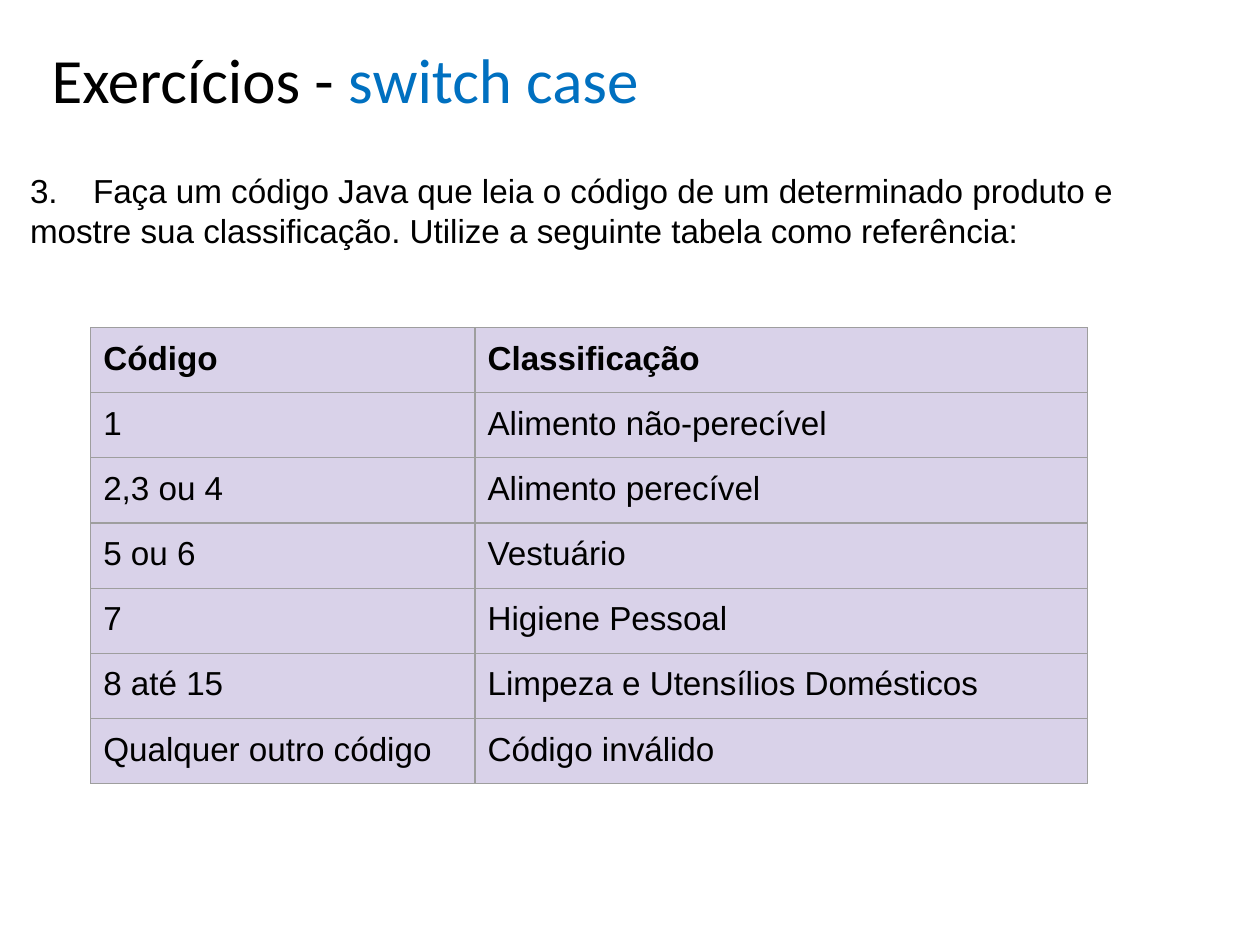
from dataclasses import dataclass

from lxml.etree import SubElement
from pptx import Presentation
from pptx.dml.color import RGBColor as Color
from pptx.enum.text import MSO_ANCHOR as Anchor, MSO_AUTO_SIZE as AutoSize, PP_ALIGN as Align
from pptx.oxml.ns import qn
from pptx.util import Inches, Pt


@dataclass(frozen=True)
class Theme:
    title_font: str = "Calibri"
    body_font: str = "Arial"
    title_size: int = 36
    body_size: int = 19
    ink: str = "000000"
    accent: str = "0070C0"
    cell_fill: str = "D9D2E9"
    border: str = "9E9E9E"
    border_width: float = 0.75
    padding: float = 0.1


THEME = Theme()
WIDTH, HEIGHT = 10, 7.5
TITLE_ONLY = 5

QUESTION = (
    "3.\tFaça um código Java que leia o código de um determinado produto e "
    "mostre sua classificação. Utilize a seguinte tabela como referência:"
)
CLASSIFICATION = [
    ("Código", "Classificação"),
    ("1", "Alimento não-perecível"),
    ("2,3 ou 4", "Alimento perecível"),
    ("5 ou 6", "Vestuário"),
    ("7", "Higiene Pessoal"),
    ("8 até 15", "Limpeza e Utensílios Domésticos"),
    ("Qualquer outro código", "Código inválido"),
]
COLUMN_WIDTHS = (3.05, 4.86)
ROW_HEIGHT = 0.45


def area(left, top, width, height):
    """Turn inches into the four lengths of a box."""
    return [Inches(length) for length in (left, top, width, height)]


def add_run(para, text, font, size, color=THEME.ink, bold=False):
    span = para.add_run()
    span.text = text
    span.font.name = font
    span.font.size = Pt(size)
    span.font.bold = bold
    span.font.color.rgb = Color.from_string(color)


def set_margins(holder, side, end):
    holder.margin_left = holder.margin_right = Inches(side)
    holder.margin_top = holder.margin_bottom = Inches(end)


def add_title(page, parts):
    title = page.shapes.title
    title.left, title.top, title.width, title.height = area(
        0.31, 0, WIDTH * 0.9, HEIGHT / 6)
    frame = title.text_frame
    frame.word_wrap = True
    frame.vertical_anchor = Anchor.MIDDLE
    set_margins(frame, THEME.padding, THEME.padding / 2)
    para = frame.paragraphs[0]
    para.alignment = Align.LEFT
    for text, color in parts:
        add_run(para, text, THEME.title_font, THEME.title_size, color)


def add_question(page, text):
    box = page.shapes.add_textbox(*area(0.14, HEIGHT / 6, 9.45, 1.14))
    frame = box.text_frame
    frame.word_wrap = True
    frame.auto_size = AutoSize.SHAPE_TO_FIT_TEXT
    set_margins(frame, THEME.padding, THEME.padding)
    add_run(frame.paragraphs[0], text, THEME.body_font, THEME.body_size)


def style_cell(cell):
    set_margins(cell, THEME.padding, THEME.padding)
    properties = cell._tc.get_or_add_tcPr()
    # Borders come before the fill in the cell properties
    for side in ("a:lnL", "a:lnR", "a:lnT", "a:lnB"):
        line = SubElement(properties, qn(side), w=str(Pt(THEME.border_width)))
        solid = SubElement(line, qn("a:solidFill"))
        SubElement(solid, qn("a:srgbClr"), val=THEME.border)
    cell.fill.solid()
    cell.fill.fore_color.rgb = Color.from_string(THEME.cell_fill)


def add_classification_table(page, rows):
    bounds = area(0.72, 2.6, sum(COLUMN_WIDTHS), ROW_HEIGHT * len(rows))
    table = page.shapes.add_table(len(rows), len(COLUMN_WIDTHS), *bounds).table
    table.horz_banding = False
    for column, width in zip(table.columns, COLUMN_WIDTHS):
        column.width = Inches(width)
    for row_index, row in enumerate(rows):
        for column_index, text in enumerate(row):
            cell = table.cell(row_index, column_index)
            style_cell(cell)
            add_run(cell.text_frame.paragraphs[0], text, THEME.body_font,
                    THEME.body_size, bold=row_index == 0)


def main():
    deck = Presentation()
    deck.slide_width, deck.slide_height = Inches(WIDTH), Inches(HEIGHT)
    page = deck.slides.add_slide(deck.slide_layouts[TITLE_ONLY])
    add_title(page, [("Exercícios - ", THEME.ink), ("switch case", THEME.accent)])
    add_question(page, QUESTION)
    add_classification_table(page, CLASSIFICATION)
    deck.save("out.pptx")


if __name__ == "__main__":
    main()
